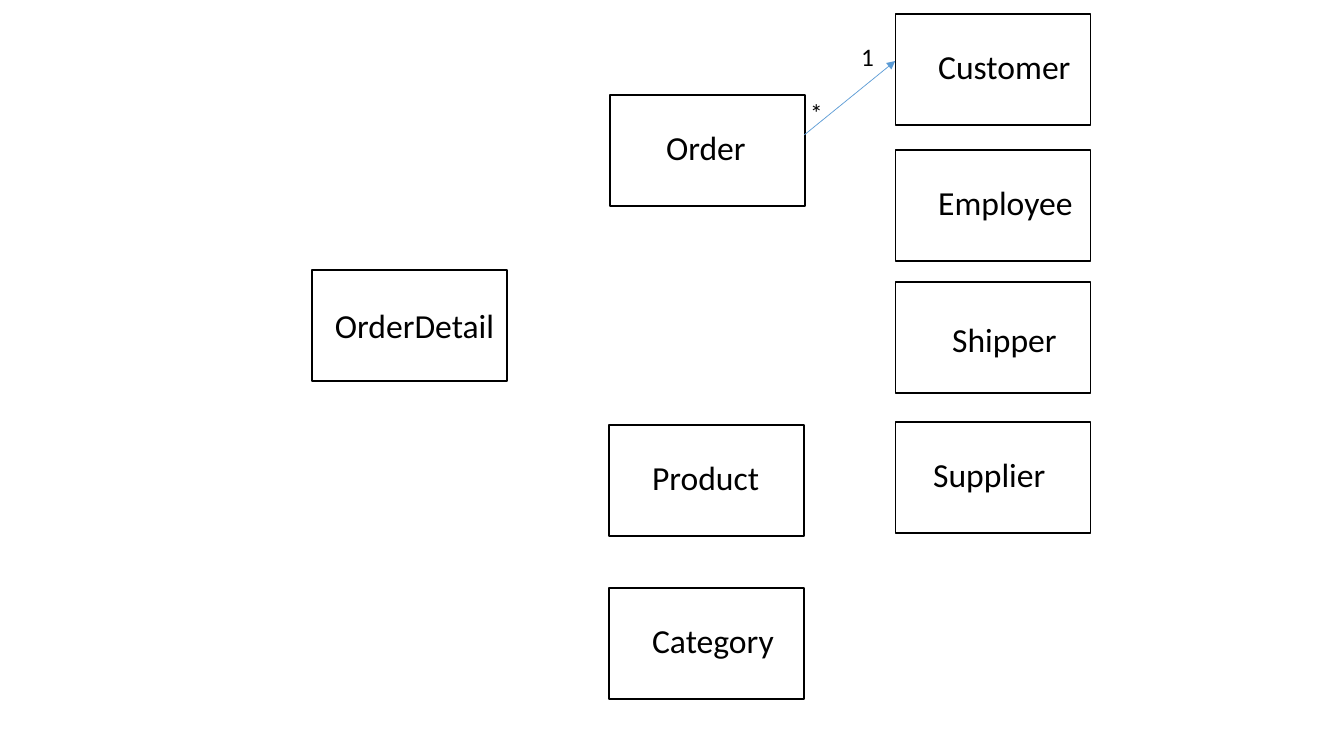
from dataclasses import dataclass

from lxml import etree
from pptx import Presentation
from pptx.dml.color import RGBColor
from pptx.enum.shapes import MSO_CONNECTOR, MSO_SHAPE
from pptx.enum.text import MSO_AUTO_SIZE
from pptx.oxml.ns import qn
from pptx.util import Inches, Pt

RECT = MSO_SHAPE.RECTANGLE
LINE = MSO_CONNECTOR.STRAIGHT
GROW = MSO_AUTO_SIZE.SHAPE_TO_FIT_TEXT
SCALE = 914400 / 100.8
BLANK = 6


@dataclass(frozen=True)
class Theme:
    """Colours, font and type sizes."""
    ink: RGBColor = RGBColor(0, 0, 0)
    paper: RGBColor = RGBColor(255, 255, 255)
    link: RGBColor = RGBColor(0x5B, 0x9B, 0xD5)
    font: str = "Calibri"
    name: int = 24
    count: int = 18


THEME = Theme()
BOX = (195, 111)
MID, RIGHT = 609, 895
# Name, box corner, label offset in the box, label width
CLASSES = [
    ("Customer", (RIGHT, 14), (33, 27), 154),
    ("Category", (MID, 588), (33, 27), 143),
    ("Employee", (RIGHT, 150), (33, 27), 156),
    ("Product", (MID, 425), (33, 27), 128),
    ("OrderDetail", (312, 270), (13, 30), 181),
    ("Order", (MID + 1, 95), (46, 27), 101),
    ("Shipper", (RIGHT, 282), (47, 32), 126),
    ("Supplier", (RIGHT, 422), (28, 27), 134),
]


def emu(*sizes):
    """Turn pixels into EMU."""
    return [round(size * SCALE) for size in sizes]


def add_label(slide, text, box, size):
    """Put one line of text in the given box."""
    frame = slide.shapes.add_textbox(*emu(*box)).text_frame
    frame.word_wrap = False
    frame.auto_size = GROW
    frame.text = text
    font = frame.paragraphs[0].runs[0].font
    font.name, font.size = THEME.font, Pt(size)
    font.color.rgb = THEME.ink


def add_class(slide, name, corner, shift, width):
    """Draw a class box with its name."""
    left, top = corner
    rect = slide.shapes.add_shape(RECT, *emu(left, top, *BOX))
    rect.shadow.inherit = False
    rect.fill.solid()
    rect.fill.fore_color.rgb = THEME.paper
    rect.line.color.rgb = THEME.ink
    rect.line.width = Pt(1)
    spot = (left + shift[0], top + shift[1], width, 50)
    add_label(slide, name, spot, THEME.name)


def add_link(slide, start, end):
    """Draw a many-to-one arrow with a count at each end."""
    link = slide.shapes.add_connector(LINE, *emu(*start, *end))
    link.line.color.rgb = THEME.link
    link.line.width = Pt(0.5)
    head = etree.SubElement(link.line._get_or_add_ln(), qn("a:tailEnd"))
    head.set("type", "triangle")
    etree.SubElement(link._element.spPr, qn("a:effectLst"))
    for text, (x, y), (dx, dy) in (("1", end, (-44, -25)),
                                   ("*", start, (-4, -43))):
        add_label(slide, text, (x + dx, y + dy, 33, 40), THEME.count)


def add_diagram(slide):
    """Draw all classes and the link from order to customer."""
    for item in CLASSES:
        add_class(slide, *item)
    add_link(slide, (804, 135), (RIGHT, 61))


deck = Presentation()
deck.slide_width, deck.slide_height = Inches(13.33), Inches(7.5)
add_diagram(deck.slides.add_slide(deck.slide_layouts[BLANK]))
deck.save("out.pptx")
